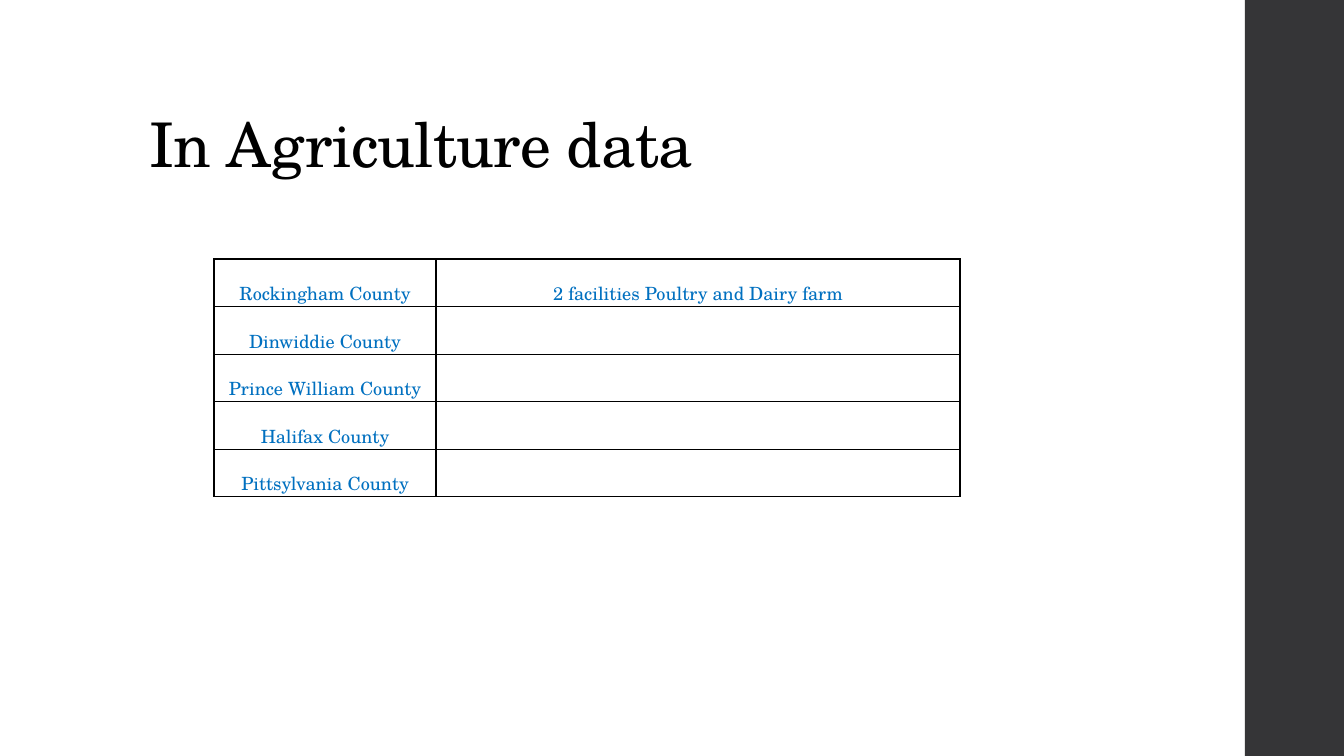
from lxml.etree import SubElement
from pptx import Presentation
from pptx.dml.color import RGBColor
from pptx.enum.shapes import MSO_SHAPE
from pptx.enum.text import MSO_ANCHOR, MSO_AUTO_SIZE, PP_ALIGN
from pptx.oxml.ns import qn
from pptx.util import Emu, Pt

SLIDE_WIDTH, SLIDE_HEIGHT = 1344, 756
EMU_PER_PX = 12192000 / SLIDE_WIDTH
FONT = "TeX Gyre Schola"
COLORS = {"sidebar": "353537", "title": "000000", "border": "000000", "cell": "0070C0"}
COUNTIES = [
    ("Rockingham County", "2 facilities Poultry and Dairy farm"),
    ("Dinwiddie County", ""),
    ("Prince William County", ""),
    ("Halifax County", ""),
    ("Pittsylvania County", ""),
]


def px(length):
    return Emu(round(length * EMU_PER_PX))


class SlideBuilder:
    def __init__(self, slide):
        self.slide = slide

    def style(self, paragraph, size, color, align):
        paragraph.alignment = align
        paragraph.font.name = FONT
        paragraph.font.size = Pt(size)
        paragraph.font.color.rgb = RGBColor.from_string(COLORS[color])

    def band(self, box, color):
        band = self.slide.shapes.add_shape(MSO_SHAPE.RECTANGLE, *map(px, box))
        band.shadow.inherit = False
        band.fill.solid()
        band.fill.fore_color.rgb = RGBColor.from_string(COLORS[color])
        band.line.fill.background()

    def title(self, text, box):
        title = self.slide.shapes.title
        title.left, title.top, title.width, title.height = map(px, box)
        frame = title.text_frame
        frame.text = text
        frame.word_wrap = True
        frame.auto_size = MSO_AUTO_SIZE.NONE
        frame.vertical_anchor = MSO_ANCHOR.BOTTOM
        heading = frame.paragraphs[0]
        heading.line_spacing = 0.9
        self.style(heading, 44, "title", PP_ALIGN.LEFT)
        heading.font._element.set("spc", "-50")

    def border(self, cell):
        properties = cell._tc.get_or_add_tcPr()
        for side in ("lnL", "lnR", "lnT", "lnB"):
            line = SubElement(properties, qn(f"a:{side}"), w=str(Pt(1)))
            fill = SubElement(line, qn("a:solidFill"))
            SubElement(fill, qn("a:srgbClr"), val=COLORS["border"])

    def table(self, rows, box, column_widths):
        frame = self.slide.shapes.add_table(len(rows), len(column_widths), *map(px, box))
        table = frame.table
        table.first_row = table.horz_banding = False
        for column, width in zip(table.columns, column_widths):
            column.width = px(width)
        for row, texts in zip(table.rows, rows):
            for cell, text in zip(row.cells, texts):
                self.border(cell)
                cell.fill.background()
                cell.text = text
                cell.vertical_anchor = MSO_ANCHOR.BOTTOM
                cell.margin_left = cell.margin_right = cell.margin_top = px(1)
                cell.margin_bottom = 0
                self.style(cell.text_frame.paragraphs[0], 13, "cell", PP_ALIGN.CENTER)


def main():
    deck = Presentation()
    deck.slide_width, deck.slide_height = px(SLIDE_WIDTH), px(SLIDE_HEIGHT)
    builder = SlideBuilder(deck.slides.add_slide(deck.slide_layouts[5]))

    # Sidebar
    builder.band((1245, 0, 99, SLIDE_HEIGHT), "sidebar")

    # Title
    builder.title("In Agriculture data", (139, 40, 1068, 146))

    # County table
    builder.table(COUNTIES, (214, 259, 746, 238), (222, 524))

    deck.save("out.pptx")


if __name__ == "__main__":
    main()
